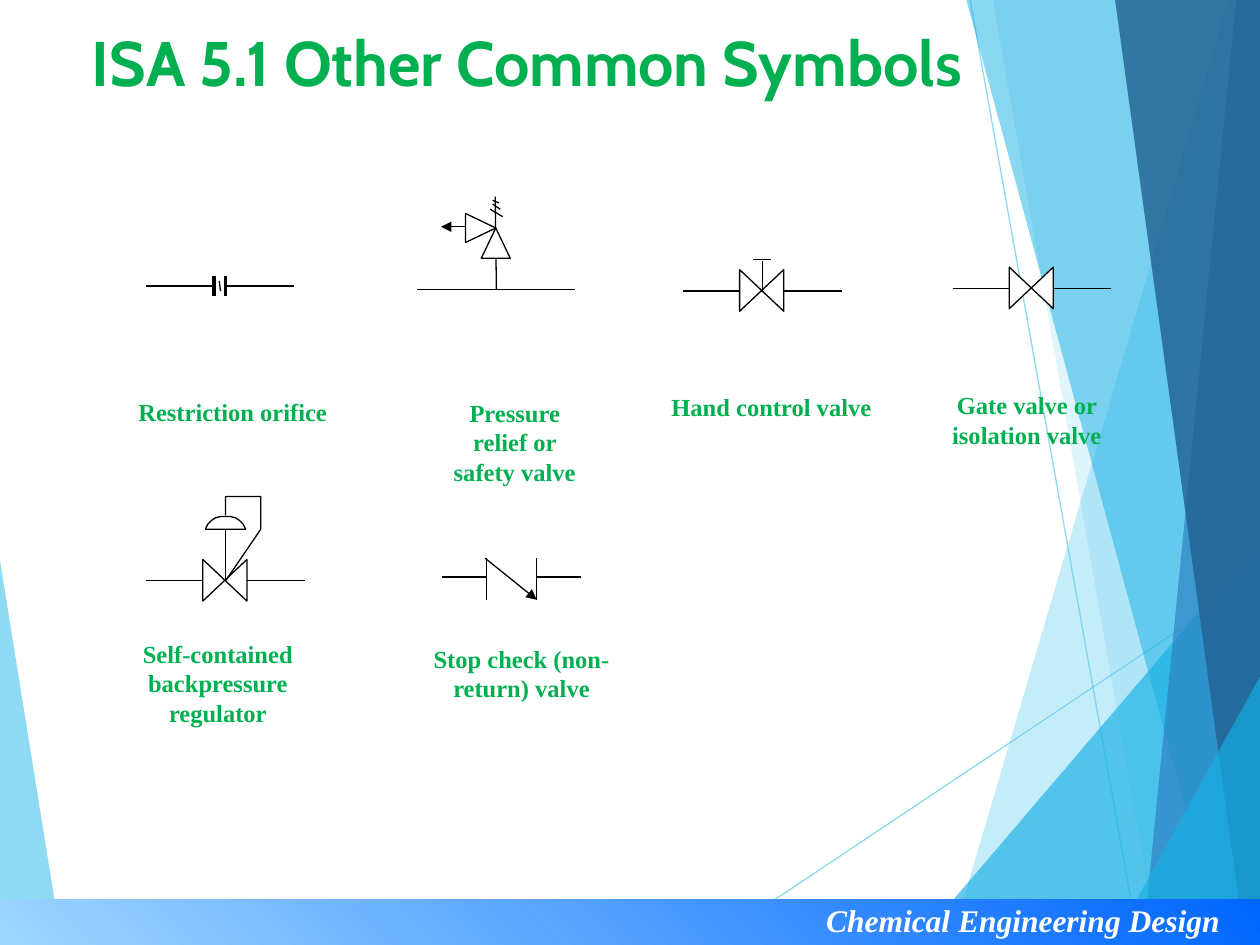
from pptx import Presentation
from pptx.dml.color import RGBColor
from pptx.enum.shapes import MSO_CONNECTOR, MSO_SHAPE
from pptx.enum.text import MSO_AUTO_SIZE, PP_ALIGN
from pptx.oxml.ns import qn
from pptx.oxml.xmlchemy import OxmlElement
from pptx.util import Inches, Pt

STRAIGHT = MSO_CONNECTOR.STRAIGHT
COLLATE, TRIANGLE = MSO_SHAPE.FLOWCHART_COLLATE, MSO_SHAPE.ISOSCELES_TRIANGLE
RECT = MSO_SHAPE.RECTANGLE
LEFT, CENTER, RIGHT = PP_ALIGN.LEFT, PP_ALIGN.CENTER, PP_ALIGN.RIGHT
FIT = MSO_AUTO_SIZE.SHAPE_TO_FIT_TEXT

BLACK = RGBColor(0x00, 0x00, 0x00)
WHITE = RGBColor(0xFF, 0xFF, 0xFF)
GREEN = RGBColor(0x00, 0xB0, 0x50)
SKY = RGBColor(0x5F, 0xCB, 0xEF)
CYAN = RGBColor(0x17, 0xB0, 0xE4)
BLUE = RGBColor(0x2E, 0x83, 0xC3)
NAVY = RGBColor(0x23, 0x62, 0x92)
PALE = RGBColor(0x9F, 0xD6, 0xFF)
VIVID = RGBColor(0x00, 0x66, 0xFF)
SERIF = "Times New Roman"

# The slide is a grid of 10 columns by 7.5 rows, each one inch.
deck = Presentation()
deck.slide_width, deck.slide_height = Inches(10), Inches(7.5)
slide = deck.slides.add_slide(deck.slide_layouts[6])
shapes = slide.shapes


def fade(item, share):
    """Set the opacity, in percent, of the first colour of a shape or line."""
    alpha = OxmlElement("a:alpha")
    alpha.set("val", str(share * 1000))
    item.element.spPr.find(".//" + qn("a:srgbClr")).append(alpha)


def draw(x1, y1, x2, y2, width=0.75, color=BLACK, arrow=False):
    """Add a straight line without shadow, with an arrowhead at its end if asked."""
    line = shapes.add_connector(
        STRAIGHT, Inches(x1), Inches(y1), Inches(x2), Inches(y2))
    line.line.width = Pt(width)
    line.line.color.rgb = color
    props = line.element.spPr
    if arrow:
        head = OxmlElement("a:tailEnd")
        head.set("type", "triangle")
        props.find(qn("a:ln")).append(head)
    props.append(OxmlElement("a:effectLst"))
    return line


# Background rays and facets
for ray in [(5.61, 7.5, 10, 4.57), (7.7, 0, 9.04, 7.5)]:
    fade(draw(*ray, color=SKY), 70)

facets = [
    ([(0, 4.45), (0.49, 7.5), (0, 7.5)], SKY, 70),
    ([(9.75, 0), (7.54, 7.5), (10, 7.5), (10, 0)], SKY, 36),
    ([(7.88, 0), (9.19, 7.5), (10, 7.5), (10, 0)], SKY, 20),
    ([(7.26, 7.5), (10, 4.29), (10, 7.5)], CYAN, 66),
    ([(7.67, 0), (9.7, 7.5), (10, 7.5), (10, 0)], CYAN, 50),
    ([(9.81, 0), (9.07, 7.5), (10, 7.5), (10, 0)], BLUE, 70),
    ([(8.85, 0), (9.88, 7.5), (10, 7.5), (10, 0)], NAVY, 82),
    ([(8.82, 7.5), (10, 5.37), (10, 7.5)], CYAN, 66),
]
for points, color, share in facets:
    dots = [(Inches(x), Inches(y)) for x, y in points]
    pen = shapes.build_freeform(*dots[0])
    pen.add_line_segments(dots[1:])
    facet = pen.convert_to_shape()
    facet.shadow.inherit = False
    facet.fill.solid()
    facet.fill.fore_color.rgb = color
    facet.line.fill.background()
    fade(facet, share)

# Footer band
band = shapes.add_shape(RECT, 0, Inches(7.14), Inches(10), Inches(0.36))
band.shadow.inherit = False
band.line.fill.background()
band.fill.gradient()
band.fill.gradient_angle = 45
for stop, color in zip(band.fill.gradient_stops, (PALE, VIVID)):
    stop.color.rgb = color

# Pipes, then the valve bodies that sit on them
valves = [(8.19, 2.29), (6.05, 2.31), (1.79, 4.61)]
for x, y in valves:
    draw(x - 0.63, y, x + 0.63, y)
draw(3.93, 1.56, 3.94, 2.3)
draw(3.31, 2.3, 4.56, 2.3)

bodies = [(COLLATE, x - 0.17, y - 0.18, 0.33, 0.35, 270) for x, y in valves]
bodies += [(TRIANGLE, 3.82, 1.81, 0.23, 0.24, 0),
           (TRIANGLE, 3.7, 1.69, 0.23, 0.24, 90)]
for kind, x, y, w, h, turn in bodies:
    body = shapes.add_shape(kind, Inches(x), Inches(y), Inches(w), Inches(h))
    body.rotation = turn
    body.shadow.inherit = False
    body.fill.solid()
    body.fill.fore_color.rgb = WHITE
    body.line.color.rgb = BLACK
    body.line.width = Pt(0.75)

# Regulator dome and sensing line
dome = [(1.63, 4.2), (1.65, 4.16), (1.68, 4.13), (1.71, 4.11), (1.75, 4.1),
        (1.79, 4.1), (1.83, 4.1), (1.87, 4.11), (1.9, 4.13), (1.93, 4.16),
        (1.95, 4.2)]
sense = [(1.79, 4.09), (1.79, 3.94), (2.07, 3.94), (2.07, 4.2), (1.79, 4.61)]
for points, closed in [(dome, True), (sense, False)]:
    dots = [(Inches(x), Inches(y)) for x, y in points]
    pen = shapes.build_freeform(*dots[0])
    pen.add_line_segments(dots[1:], close=closed)
    part = pen.convert_to_shape()
    part.shadow.inherit = False
    part.line.color.rgb = BLACK
    part.line.width = Pt(0.75)
    if closed:
        part.fill.solid()
        part.fill.fore_color.rgb = WHITE
    else:
        part.fill.background()

strokes = [
    (1.79, 4.6, 1.79, 4.2),  # regulator stem
    (6.05, 2.3, 6.05, 2.07), (5.98, 2.06, 6.12, 2.06),  # hand wheel
    (1.16, 2.27, 1.7, 2.27), (1.79, 2.27, 2.33, 2.27),  # orifice pipe
    (1.74, 2.23, 1.75, 2.31),
    (3.89, 1.66, 3.99, 1.72), (3.91, 1.62, 3.97, 1.66),  # relief spring
    (3.91, 1.59, 3.96, 1.61),
    (3.51, 4.58, 3.86, 4.58), (4.26, 4.58, 4.61, 4.58),  # check valve
    (3.86, 4.43, 3.86, 4.76), (4.26, 4.43, 4.26, 4.76),
]
for stroke in strokes:
    draw(*stroke)
for x in (1.7, 1.79):
    draw(x, 2.19, x, 2.35, width=2.25)
draw(3.69, 1.8, 3.5, 1.8, arrow=True)
draw(3.85, 4.43, 4.26, 4.76, arrow=True)

# Title, footer and symbol names: text, place, wrap, align, size, font, colour
name = (14, SERIF, GREEN)
texts = [
    ("ISA 5.1 Other Common Symbols", (0.63, 0.14, 8.64, 1.44), True, LEFT,
     36, "Cabin", GREEN),
    ("Chemical Engineering Design", (6.2, 7.1, 3.58, 0.4), True, RIGHT,
     18, SERIF, WHITE),
    ("Restriction orifice", (1, 3.1, 1.7, 0.34), False, LEFT, *name),
    ("Pressure relief or safety valve", (3.39, 3.11, 1.39, 0.8), True, CENTER, *name),
    ("Hand control valve", (5.23, 3.06, 1.79, 0.34), False, LEFT, *name),
    ("Gate valve or isolation valve", (7.43, 3.05, 1.44, 0.57), True, CENTER, *name),
    ("Self-contained backpressure regulator", (1.01, 5.02, 1.44, 0.8), True, CENTER,
     *name),
    ("Stop check (non-return) valve", (3.34, 5.06, 1.6, 0.57), True, CENTER, *name),
]
for text, place, wrap, align, size, face, color in texts:
    box = shapes.add_textbox(*[Inches(n) for n in place])
    frame = box.text_frame
    frame.word_wrap = wrap
    if size < 36:
        frame.auto_size = FIT
    para = frame.paragraphs[0]
    para.text = text
    para.alignment = align
    font = para.font
    font.size, font.name, font.bold = Pt(size), face, True
    font.italic = color == WHITE
    font.color.rgb = color

deck.save("out.pptx")
